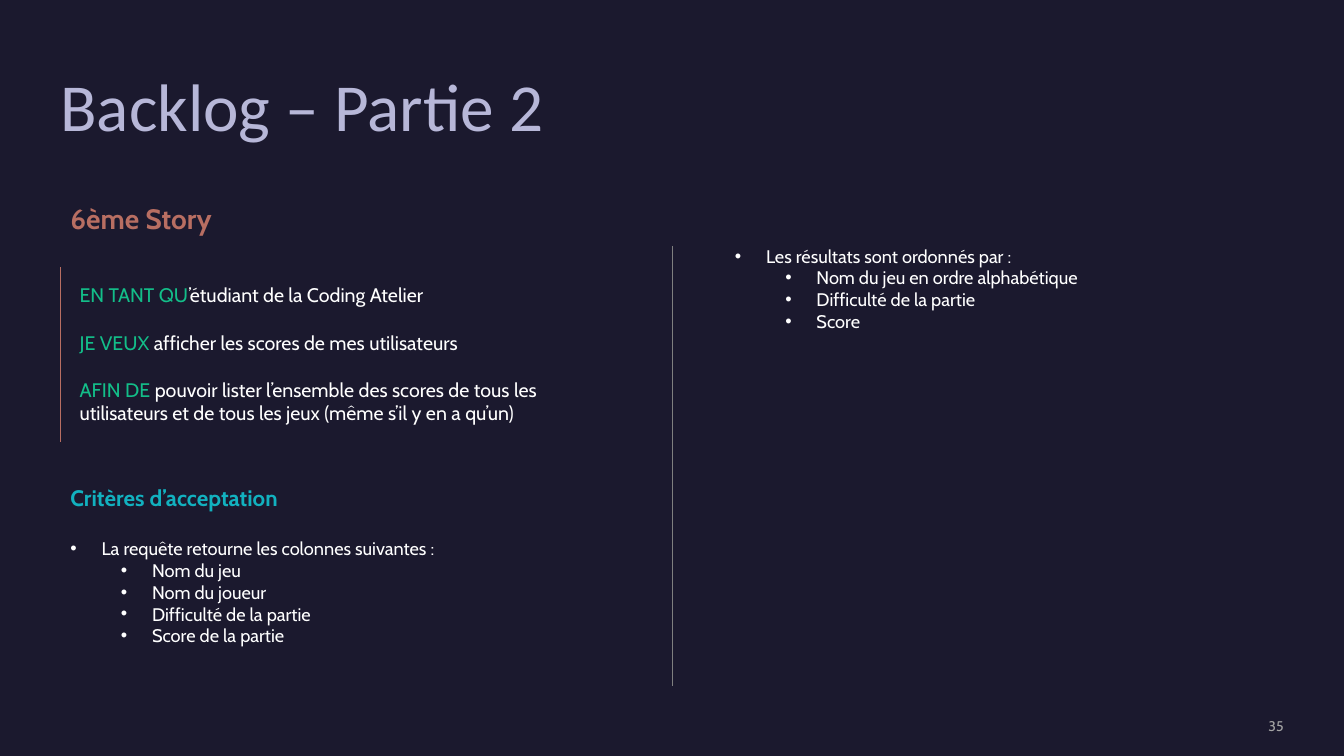
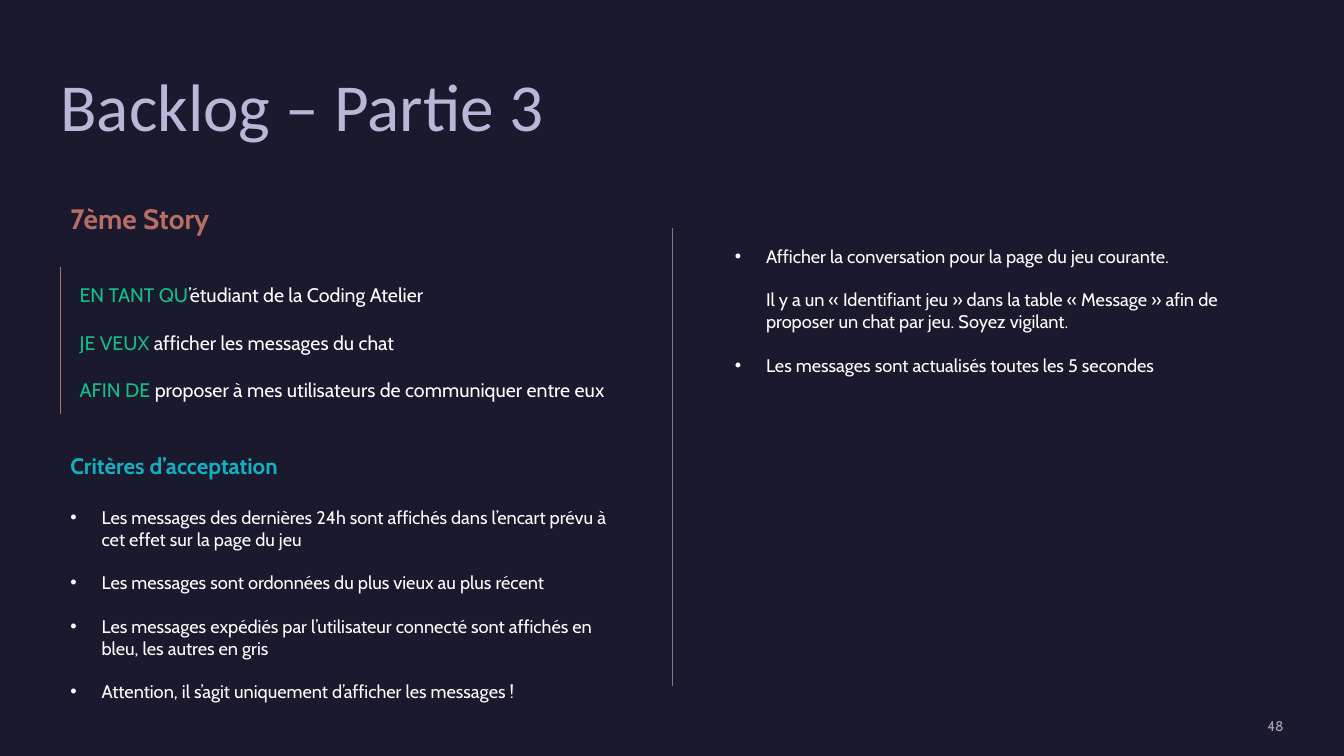
"""Build the two backlog story slides."""
import pptx
import pptx.dml.color
import pptx.enum.shapes
import pptx.enum.text
import pptx.oxml
import pptx.oxml.ns
import pptx.util

PX = 9144
NAVY, LAVENDER, GREY, RULE = "1B192E", "B7B7D8", "A5A5A5", "7F7F7F"
CORAL, GREEN, CYAN, WHITE = "B86E62", "13BE89", "12B1BF", "FFFFFF"
BODY_FONT, TITLE_FONT = "Cabin", "Calibri"
LEFT, DIVIDER_X, RIGHT = 60, 667, 719
STORY_TOP, ACCENT_TOP, DIVIDER_BOTTOM = 276, 265, 681
COLUMN_WIDTH = 567
STORY_GAP, HEADING_GAP, CRITERIA_GAP = 17, 19, 15.5
STORY_LEADS = ("EN TANT QU", "JE VEUX ", "AFIN DE ")
CRITERIA_HEADING = "Critères d’acceptation"

ITEM, SUBITEM, NOTE = "item", "subitem", "note"
INDENTS = {ITEM: (31, -31), SUBITEM: (81, -31), NOTE: (31, 0)}

STORIES = [
    {
        "title": "Backlog – Partie 2",
        "page": "35",
        "story": "6ème Story",
        "wishes": (
            "’étudiant de la Coding Atelier",
            "afficher les scores de mes utilisateurs",
            "pouvoir lister l’ensemble des scores de tous les utilisateurs "
            "et de tous les jeux (même s’il y en a qu’un)",
        ),
        "story_height": 151,
        "accent_bottom": 439,
        "criteria_top": 475,
        "criteria_height": 195,
        "divider_top": 244,
        "more_height": 98,
        "item_gap": 0,
        "criteria": [
            (ITEM, "La requête retourne les colonnes suivantes :"),
            (SUBITEM, "Nom du jeu"),
            (SUBITEM, "Nom du joueur"),
            (SUBITEM, "Difficulté de la partie"),
            (SUBITEM, "Score de la partie"),
        ],
        "more_criteria": [
            (ITEM, "Les résultats sont ordonnés par :"),
            (SUBITEM, "Nom du jeu en ordre alphabétique"),
            (SUBITEM, "Difficulté de la partie"),
            (SUBITEM, "Score"),
        ],
    },
    {
        "title": "Backlog – Partie 3",
        "page": "48",
        "story": "7ème Story",
        "wishes": (
            "’étudiant de la Coding Atelier",
            "afficher les messages du chat",
            "proposer à mes utilisateurs de communiquer entre eux",
        ),
        "story_height": 128,
        "accent_bottom": 411,
        "criteria_top": 444,
        "criteria_height": 283,
        "divider_top": 226,
        "more_height": 141,
        "item_gap": CRITERIA_GAP,
        "criteria": [
            (ITEM, "Les messages des dernières 24h sont affichés dans l’encart "
                   "prévu à cet effet sur la page du jeu"),
            (ITEM, "Les messages sont ordonnées du plus vieux au plus récent"),
            (ITEM, "Les messages expédiés par l’utilisateur connecté sont "
                   "affichés en bleu, les autres en gris"),
            (ITEM, "Attention, il s’agit uniquement d’afficher les messages !"),
        ],
        "more_criteria": [
            (ITEM, "Afficher la conversation pour la page du jeu courante."),
            (NOTE, "Il y a un « Identifiant jeu » dans la table « Message » "
                   "afin de proposer un chat par jeu. Soyez vigilant."),
            (ITEM, "Les messages sont actualisés toutes les 5 secondes"),
        ],
    },
]


def px(length):
    return pptx.util.Emu(length * PX)


def colour(code):
    return pptx.dml.color.RGBColor.from_string(code)


def add_text(slide, left, top, width, height, inset=True):
    frame = slide.shapes.add_textbox(px(left), px(top), px(width), px(height)).text_frame
    frame.word_wrap = True
    if not inset:
        frame.margin_left = frame.margin_right = 0
        frame.margin_top = frame.margin_bottom = 0
    return frame


def next_paragraph(frame):
    first = frame.paragraphs[0]
    return frame.add_paragraph() if first.runs else first


def add_run(paragraph, text, size, code, font=BODY_FONT, bold=False):
    run = paragraph.add_run()
    run.text = text
    run.font.size = pptx.util.Pt(size)
    run.font.name = font
    run.font.bold = bold
    run.font.color.rgb = colour(code)


def add_rule(slide, x, top, bottom, code, weight):
    rule = slide.shapes.add_connector(
        pptx.enum.shapes.MSO_CONNECTOR.STRAIGHT, px(x), px(top), px(x), px(bottom))
    rule.line.color.rgb = colour(code)
    rule.line.width = pptx.util.Pt(weight)
    rule._element.spPr.append(pptx.oxml.parse_xml(
        f'<a:effectLst {pptx.oxml.ns.nsdecls("a")}/>'))


def set_indent(paragraph, kind):
    margin, hanging = INDENTS[kind]
    properties = paragraph._p.get_or_add_pPr()
    properties.set("marL", str(px(margin)))
    properties.set("indent", str(px(hanging)))
    if kind != NOTE:
        namespace = pptx.oxml.ns.nsdecls("a")
        for xml in (
            f'<a:buClr {namespace}><a:srgbClr val="{WHITE}"/></a:buClr>',
            f'<a:buFont {namespace} typeface="Arial"/>',
            f'<a:buChar {namespace} char="•"/>',
        ):
            properties.append(pptx.oxml.parse_xml(xml))


def add_criteria(frame, criteria, gap):
    for index, (kind, text) in enumerate(criteria):
        paragraph = next_paragraph(frame)
        paragraph.level = 1 if kind == SUBITEM else 0
        if index:
            paragraph.space_before = pptx.util.Pt(gap)
        set_indent(paragraph, kind)
        add_run(paragraph, text, 13, WHITE)


def add_title_and_page(slide, title, page):
    heading = add_text(slide, LEFT, 73, 984, 171, inset=False).paragraphs[0]
    heading.line_spacing = 0.9
    add_run(heading, title, 48, LAVENDER, TITLE_FONT)
    footer = add_text(slide, 1088, 712, 185, 17, inset=False)
    footer.vertical_anchor = pptx.enum.text.MSO_ANCHOR.MIDDLE
    footer.paragraphs[0].alignment = pptx.enum.text.PP_ALIGN.RIGHT
    add_run(footer.paragraphs[0], page, 10, GREY)


def add_wishes(slide, wishes, height):
    frame = add_text(slide, 69, STORY_TOP, 558, height)
    for index, (lead, wish) in enumerate(zip(STORY_LEADS, wishes)):
        paragraph = next_paragraph(frame)
        if index:
            paragraph.space_before = pptx.util.Pt(STORY_GAP)
        add_run(paragraph, lead, 14, GREEN)
        add_run(paragraph, wish, 14, WHITE)


def add_story_slide(deck, story):
    slide = deck.slides.add_slide(deck.slide_layouts[6])
    add_title_and_page(slide, story["title"], story["page"])

    name = add_text(slide, LEFT, 195, 641, 44)
    add_run(name.paragraphs[0], story["story"], 20, CORAL, bold=True)
    add_wishes(slide, story["wishes"], story["story_height"])
    add_rule(slide, LEFT, ACCENT_TOP, story["accent_bottom"], CORAL, 1)

    criteria = add_text(slide, LEFT, story["criteria_top"], COLUMN_WIDTH,
                        story["criteria_height"])
    heading = criteria.paragraphs[0]
    heading.space_after = pptx.util.Pt(HEADING_GAP)
    add_run(heading, CRITERIA_HEADING, 16, CYAN, bold=True)
    add_criteria(criteria, story["criteria"], story["item_gap"])

    add_rule(slide, DIVIDER_X, story["divider_top"], DIVIDER_BOTTOM, RULE, 0.75)
    more = add_text(slide, RIGHT, 238, COLUMN_WIDTH, story["more_height"])
    add_criteria(more, story["more_criteria"], story["item_gap"])


def main():
    deck = pptx.Presentation()
    deck.slide_width, deck.slide_height = px(1333), px(750)
    backdrop = deck.slide_master.background.fill
    backdrop.solid()
    backdrop.fore_color.rgb = colour(NAVY)
    for story in STORIES:
        add_story_slide(deck, story)
    deck.save("out.pptx")


if __name__ == "__main__":
    main()
